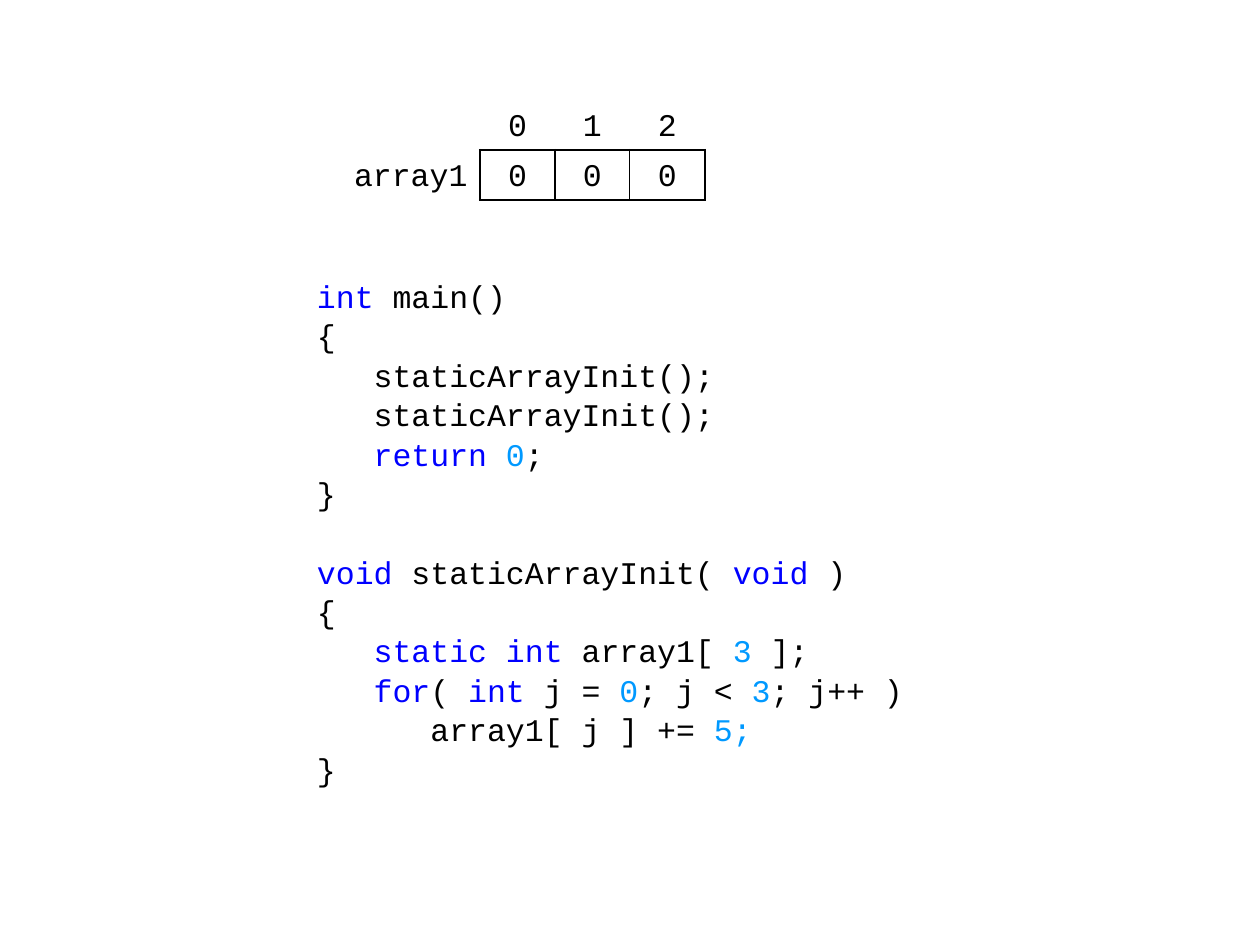
from lxml.etree import SubElement
from pptx import Presentation
from pptx.dml.color import RGBColor
from pptx.enum.text import MSO_ANCHOR as Anchor, PP_ALIGN as Align
from pptx.oxml.ns import qn
from pptx.util import Pt

PX = 914400 // 126
BLACK = RGBColor(0x00, 0x00, 0x00)
BLUE = RGBColor(0x00, 0x00, 0xFF)
SKY = RGBColor(0x00, 0x99, 0xFF)

MAIN = [
    [("int", BLUE), (" main()", BLACK)],
    [("{", BLACK)],
    [("   staticArrayInit();", BLACK)],
    [("   staticArrayInit();", BLACK)],
    [("   ", BLACK), ("return ", BLUE), ("0", SKY), (";", BLACK)],
    [("}", BLACK)],
]
INIT = [
    [("void ", BLUE), ("staticArrayInit( ", BLACK), ("void", BLUE), (" )", BLACK)],
    [("{", BLACK)],
    [("   ", BLACK), ("static int ", BLUE), ("array1[ ", BLACK), ("3", SKY), (" ];", BLACK)],
    [("   ", BLACK), ("for", BLUE), ("( ", BLACK), ("int", BLUE), (" j = ", BLACK),
     ("0", SKY), ("; j < ", BLACK), ("3", SKY), ("; j++ )", BLACK)],
    [("      array1[ j ] += ", BLACK), ("5;", SKY)],
    [("}", BLACK)],
]
ROWS = [["", "0", "1", "2"], ["array1", "0", "0", "0"]]


class Deck:
    face, size = "Courier New", Pt(18)
    gap, skip = Pt(0.9), Pt(23.4)
    thick, thin = Pt(1.5), Pt(0.75)

    def __init__(self, wide, high):
        self.prs = Presentation()
        self.prs.slide_width, self.prs.slide_height = wide * PX, high * PX
        self.slide = self.prs.slides.add_slide(self.prs.slide_layouts[6])

    def style(self, run, color):
        font = run.font
        font.name, font.size = self.face, self.size
        font.color.rgb = color

    def code(self, x, y, w, h, blocks):
        """Write blocks of coloured lines, with one line's gap between blocks."""
        frame = self.slide.shapes.add_textbox(x * PX, y * PX, w * PX, h * PX).text_frame
        frame.word_wrap = True
        frame.margin_left = frame.margin_right = 10 * PX
        frame.margin_top, frame.margin_bottom = 4 * PX, 2 * PX
        para = None
        for block in blocks:
            for n, line in enumerate(block):
                if para is None:
                    para = frame.paragraphs[0]
                else:
                    para = frame.add_paragraph()
                    para.space_before = self.gap if n else self.skip
                for text, color in line:
                    run = para.add_run()
                    run.text = text
                    self.style(run, color)

    def edge(self, cell, side, width):
        """Draw one cell border; a width of 0 hides it."""
        line = SubElement(cell._tc.get_or_add_tcPr(), qn("a:ln" + side), w=str(width))
        if width:
            fill = SubElement(line, qn("a:solidFill"))
            SubElement(fill, qn("a:srgbClr"), val=str(BLACK))
        else:
            SubElement(line, qn("a:noFill"))

    def cell(self, cell, text, align, edges):
        for side, width in zip("LRTB", edges):
            self.edge(cell, side, width)
        cell.fill.background()
        cell.vertical_anchor = Anchor.MIDDLE
        cell.margin_top, cell.margin_bottom = 0, PX
        para = cell.text_frame.paragraphs[0]
        para.text = text
        para.alignment, para.line_spacing = align, 1.2
        for run in para.runs:
            self.style(run, BLACK)

    def array(self, x, y, head, side, high, rows):
        """Draw index labels over a row of boxes that has its name at the left."""
        last = len(rows[0]) - 1
        wide = head + side * last
        grid = self.slide.shapes.add_table(
            len(rows), last + 1, x * PX, y * PX, wide * PX, high * len(rows) * PX).table
        grid.first_row = grid.horz_banding = False
        for c, col in enumerate(grid.columns):
            col.width = (side if c else head) * PX
        walls = [0, self.thick] + [self.thin] * (last - 1) + [self.thick]
        for r, row in enumerate(rows):
            grid.rows[r].height = high * PX
            for c, text in enumerate(row):
                left, right = (walls[c], walls[c + 1]) if r else (0, 0)
                top = self.thick if r and c else 0
                base = self.thick if c else 0
                align = Align.CENTER if c else Align.RIGHT
                self.cell(grid.cell(r, c), text, align, (left, right, top, base))


def main():
    deck = Deck(1260, 945)
    deck.code(307, 273, 645, 520, [MAIN, INIT])
    deck.array(332, 100, 148, 75, 50, ROWS)
    deck.prs.save("out.pptx")


if __name__ == "__main__":
    main()
